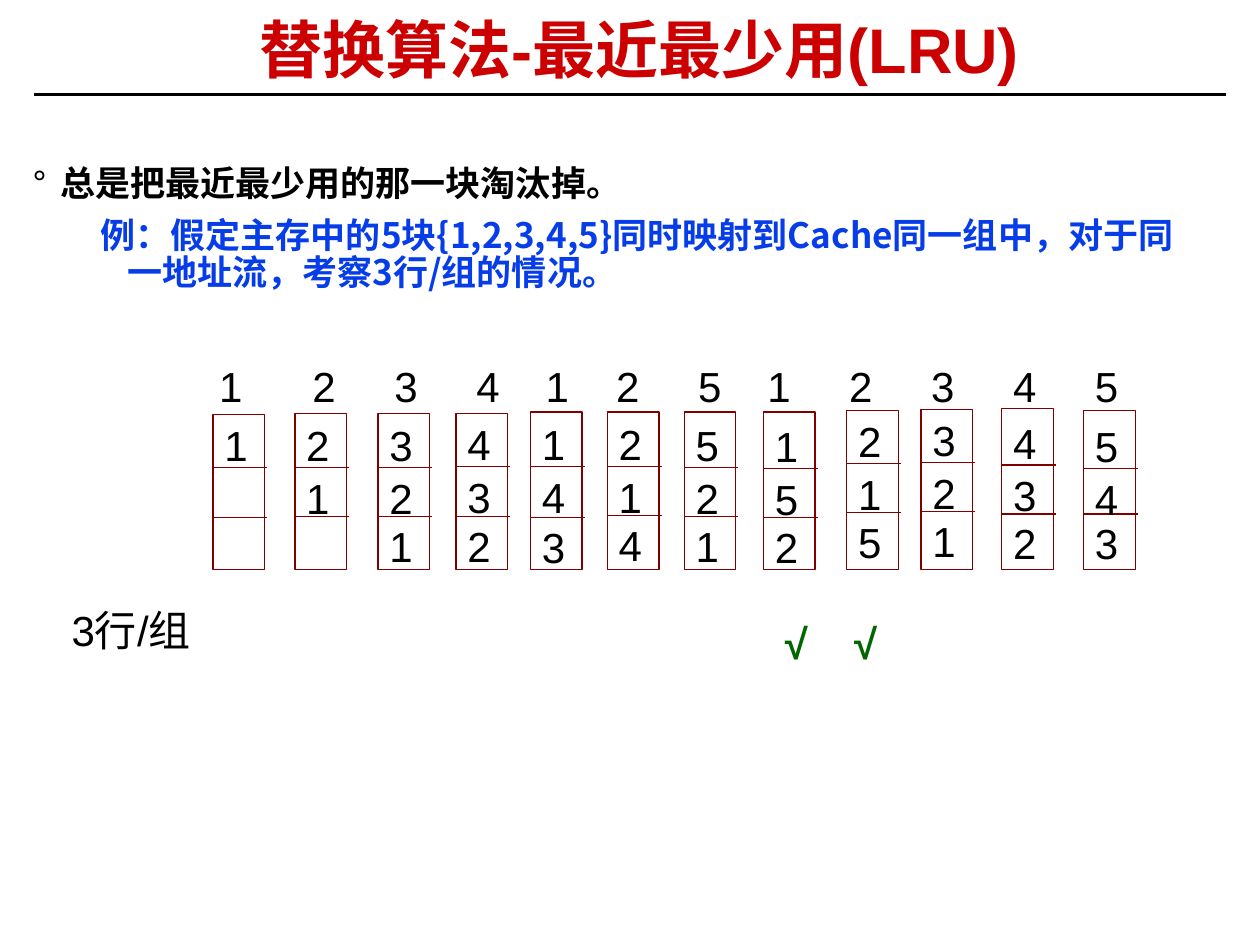
import pptx
import pptx.dml.color
import pptx.enum.shapes
import pptx.enum.text
import pptx.oxml.ns
import pptx.util
from lxml import etree

Inches = pptx.util.Inches
Pt = pptx.util.Pt
qn = pptx.oxml.ns.qn
BLACK, RED, BLUE, GREEN, MAROON = "000000", "CC0000", "063DE8", "006600", "800000"
SANS, CJK = "Arial", "Noto Sans CJK SC"


def color(hex_code):
    return pptx.dml.color.RGBColor.from_string(hex_code)


class LruSlide:
    def __init__(self, slide):
        self.slide = slide

    def text_box(self, left, top, width, height, inset=(0, 0)):
        frame = self.slide.shapes.add_textbox(
            Inches(left), Inches(top), Inches(width), Inches(height)).text_frame
        frame.word_wrap = True
        frame.margin_left = frame.margin_right = Inches(inset[0])
        frame.margin_top = frame.margin_bottom = Inches(inset[1])
        return frame

    def add_text(self, paragraph, text, size=24, hex_code=BLACK, bold=False, font=SANS):
        run = paragraph.add_run()
        run.text = text
        run.font.size = Pt(size)
        run.font.bold = bold
        run.font.name = font
        run.font.color.rgb = color(hex_code)
        east_asian = etree.SubElement(run._r.get_or_add_rPr(), qn("a:ea"))
        east_asian.set("typeface", CJK)

    def indent(self, paragraph, margin, hanging):
        properties = paragraph._p.get_or_add_pPr()
        properties.set("marL", str(Inches(margin)))
        properties.set("indent", str(-Inches(hanging)))
        return properties

    def bullet(self, paragraph, symbol, margin, hanging):
        properties = self.indent(paragraph, margin, hanging)
        etree.SubElement(properties, qn("a:buFont")).set("typeface", SANS)
        etree.SubElement(properties, qn("a:buChar")).set("char", symbol)

    def tabs(self, paragraph, stops):
        tab_list = etree.SubElement(paragraph._p.get_or_add_pPr(), qn("a:tabLst"))
        for stop in stops:
            tab = etree.SubElement(tab_list, qn("a:tab"))
            tab.set("pos", str(Inches(stop)))
            tab.set("algn", "l")

    def line(self, left, right, y, hex_code, width):
        connector = self.slide.shapes.add_connector(
            pptx.enum.shapes.MSO_CONNECTOR.STRAIGHT,
            Inches(left), Inches(y), Inches(right), Inches(y))
        connector.line.color.rgb = color(hex_code)
        connector.line.width = Pt(width)
        etree.SubElement(connector._element.spPr, qn("a:effectLst"))

    def frame(self, left, top, width, height):
        outline = self.slide.shapes.add_shape(
            pptx.enum.shapes.MSO_SHAPE.RECTANGLE,
            Inches(left), Inches(top), Inches(width), Inches(height))
        outline.shadow.inherit = False
        outline.fill.background()
        outline.line.color.rgb = color(MAROON)
        outline.line.width = Pt(0.75)

    def cache_set(self, left, top, dividers, blocks):
        upper, lower = dividers
        self.frame(left, top, 0.41, 4.52 - top)
        for y in dividers:
            self.line(left, left + 0.43, y, MAROON, 0.75)
        for block, y in zip(blocks, (upper - 0.38, upper + 0.04, lower + 0.03)):
            cell = self.text_box(left + 0.09, y, 0.38, 0.4)
            self.add_text(cell.paragraphs[0], str(block))

    def tabbed_row(self, left, top, width, entries, stops, **style):
        paragraph = self.text_box(left, top, width, 0.4).paragraphs[0]
        self.tabs(paragraph, stops)
        self.add_text(paragraph, "\t".join(entries), **style)


def main():
    presentation = pptx.Presentation()
    presentation.slide_width = Inches(10)
    presentation.slide_height = Inches(7.5)
    page = LruSlide(presentation.slides.add_slide(presentation.slide_layouts[6]))

    page.line(0.27, 9.73, 0.75, BLACK, 1.5)
    title = page.text_box(0.26, 0.12, 9.63, 0.62, (0.1, 0.05))
    title.vertical_anchor = pptx.enum.text.MSO_ANCHOR.MIDDLE
    heading = title.paragraphs[0]
    heading.alignment = pptx.enum.text.PP_ALIGN.CENTER
    heading.line_spacing = 0.87
    page.add_text(heading, "替换算法-最近最少用(LRU)", 36, RED, True)

    body = page.text_box(0.16, 1.28, 9.45, 1.68, (0.1, 0.05))
    rule = body.paragraphs[0]
    page.bullet(rule, "°", 0.22, 0.22)
    page.add_text(rule, "总是把最近最少用的那一块淘汰掉。", 20, BLACK, True, CJK)
    example = body.add_paragraph()
    page.indent(example, 0.75, 0.21)
    example.space_before = Pt(8.8)
    page.add_text(example, "例：假定主存中的5块{1,2,3,4,5}同时映射到Cache同一组中，"
                  "对于同一地址流，考察3行/组的情况。", 20, BLUE, True, CJK)
    for paragraph in body.paragraphs:
        paragraph.line_spacing = 0.87

    requests = [1, 2, 3, 4, 1, 2, 5, 1, 2, 3, 4, 5]
    request_stops = [0.74, 1.39, 2.04, 2.59, 3.15, 3.8, 4.35, 5, 5.65, 6.3, 6.95]
    page.tabbed_row(1.74, 2.86, 7.37, [str(block) for block in requests], request_stops)

    sets = [
        (1.69, 3.29, (3.71, 4.11)), (2.34, 3.28, (3.71, 4.1)),
        (3, 3.28, (3.71, 4.1)), (3.62, 3.28, (3.7, 4.1)),
        (4.21, 3.27, (3.7, 4.11)), (4.82, 3.27, (3.7, 4.09)),
        (5.43, 3.27, (3.71, 4.1)), (6.06, 3.27, (3.72, 4.11)),
        (6.72, 3.26, (3.68, 4.07)), (7.31, 3.25, (3.67, 4.06)),
        (7.95, 3.24, (3.69, 4.08)), (8.6, 3.26, (3.72, 4.08)),
    ]
    recent = []
    for request, (left, top, dividers) in zip(requests, sets):
        recent = ([request] + [block for block in recent if block != request])[:3]
        page.cache_set(left, top, dividers, recent)

    page.tabbed_row(6.23, 4.9, 1.2, ["√", "√"], [0.55], hex_code=GREEN, bold=True)
    lines_per_set = page.text_box(0.47, 4.8, 1.25, 0.9, (0.1, 0.05)).paragraphs[0]
    lines_per_set.line_spacing = 0.87
    page.add_text(lines_per_set, "3行/组")
    presentation.save("out.pptx")


if __name__ == "__main__":
    main()
